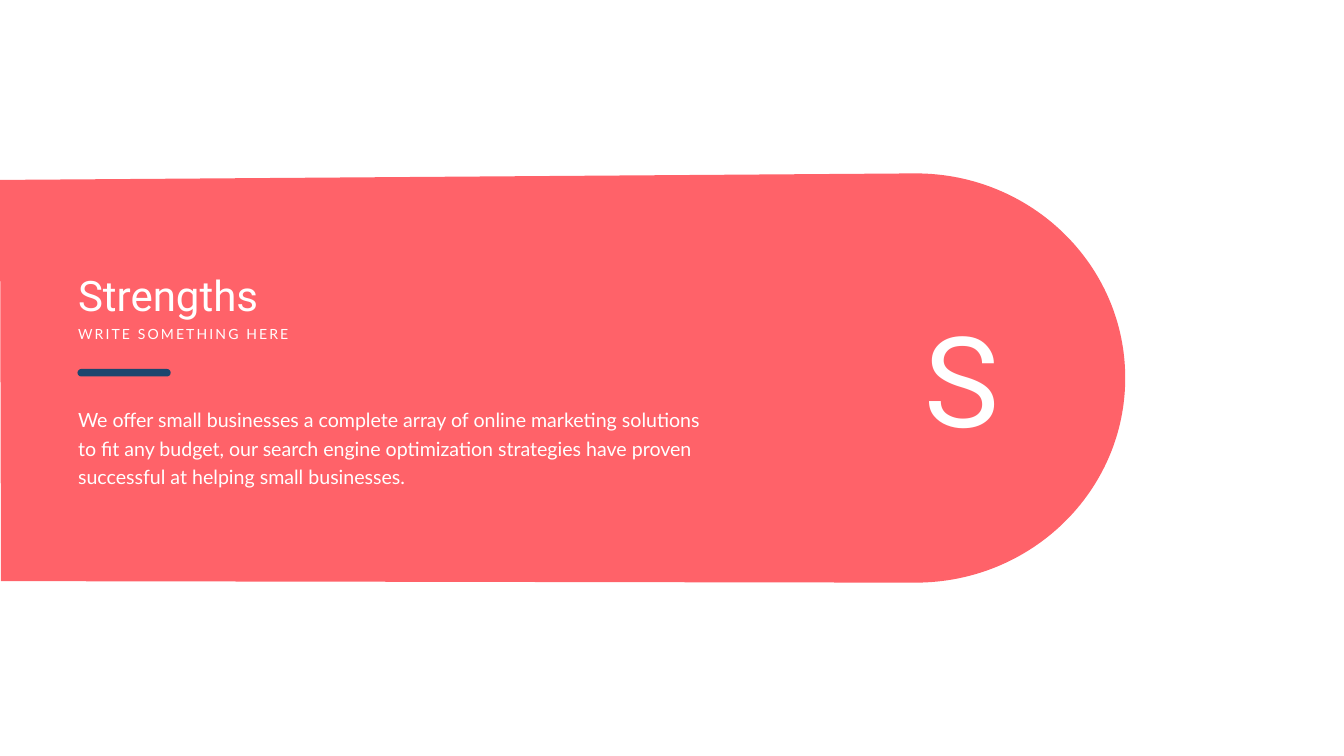
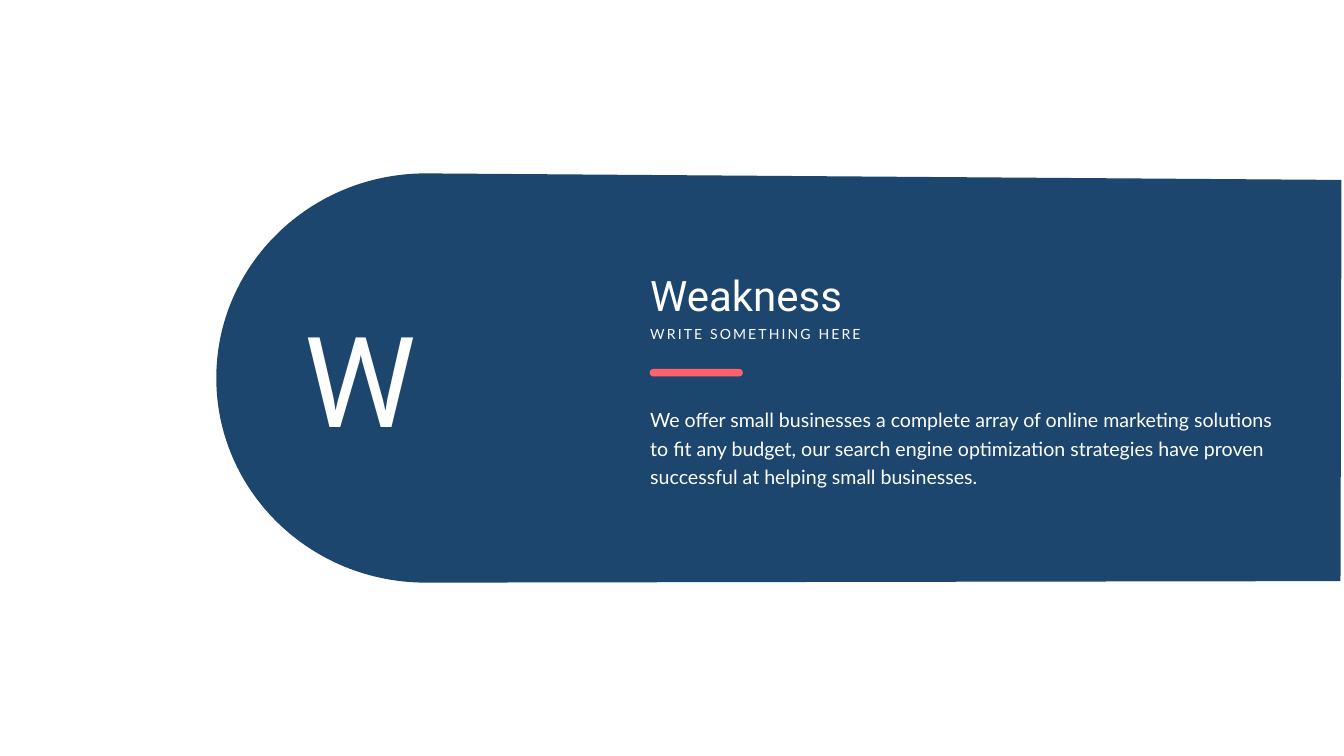
from pptx import Presentation
from pptx.dml.color import RGBColor
from pptx.enum.shapes import MSO_SHAPE
from pptx.enum.text import MSO_AUTO_SIZE, PP_ALIGN
from pptx.oxml.ns import qn
from pptx.util import Pt
from lxml.etree import SubElement

WIDTH, HEIGHT = 1919.52, 1080
CORAL, NAVY, WHITE = "FF6269", "1C466E", "FFFFFF"
HEADING_FONT, BODY_FONT = "Roboto", "Lato"
BAND_TOP, BAND_WIDTH, BAND_HEIGHT = 247.68, 1607.04, 584.64
TAGLINE = "WRITE SOMETHING HERE"
PITCH = (
    "We offer small businesses a complete array of online marketing solutions "
    "to fit any budget, our search engine optimization strategies have proven "
    "successful at helping small businesses."
)
TOPICS = [
    dict(heading="Strengths", initial="S", color=CORAL, accent=NAVY, band_left=0,
         mirrored=False, copy_left=104.4, initial_left=1300.32, initial_width=148.32),
    dict(heading="Weakness", initial="W", color=NAVY, accent=CORAL, band_left=308.88,
         mirrored=True, copy_left=612.72, initial_left=80.64, initial_width=250.56),
]


def paint(fill, color):
    """Make a fill solid in the given hex colour."""
    fill.solid()
    fill.fore_color.rgb = RGBColor.from_string(color)


def finish(shape, color):
    """Give a shape a flat fill with neither outline nor shadow."""
    paint(shape.fill, color)
    shape.line.fill.background()
    shape.shadow.inherit = False


def add_text(shapes, text, left, top, width, height, *, size, font,
             align=PP_ALIGN.LEFT, leading=None, tracking=None):
    """Add one white paragraph in a wrapping text box."""
    box = shapes.add_textbox(Pt(left), Pt(top), Pt(width), Pt(height))
    frame = box.text_frame
    frame.word_wrap = True
    frame.auto_size = MSO_AUTO_SIZE.SHAPE_TO_FIT_TEXT
    paragraph = frame.paragraphs[0]
    paragraph.alignment = align
    if leading:
        paragraph.line_spacing = Pt(leading)
    run = paragraph.add_run()
    run.text = text
    run.font.size = Pt(size)
    run.font.name = font
    run.font.color.rgb = RGBColor.from_string(WHITE)
    if tracking:
        run.font._element.set("spc", str(tracking * 100))


def round_corners(band, first, count):
    """Turn runs of three line points, from index first, into Bézier curves."""
    lines = list(band._element.iter(qn("a:lnTo")))
    for start in range(first, first + 3 * count, 3):
        curve = SubElement(lines[start].getparent(), qn("a:cubicBezTo"))
        lines[start].addprevious(curve)
        for line in lines[start:start + 3]:
            curve.append(line[0])
            line.getparent().remove(line)


def add_band(shapes, left, top, width, height, color, mirrored):
    """Draw the tapered band with one round end, optionally facing left."""
    shoulder, handle = width - 299.52, width - 133.92
    outline = [
        (0, 9.36), (shoulder, 0),
        (handle, 0), (width, 131.04), (width, height / 2),
        (width, height - 131.04), (handle, height), (shoulder, height),
        (1.44, height - 2.16),
    ]
    points = [(Pt(left + (width - x if mirrored else x)), Pt(top + y)) for x, y in outline]
    builder = shapes.build_freeform(*points[0])
    builder.add_line_segments(points[1:], close=True)
    band = builder.convert_to_shape()
    finish(band, color)
    round_corners(band, first=1, count=2)


def add_copy(shapes, left, top, heading, accent):
    """Group the heading, tagline, accent bar and body text."""
    group = shapes.add_group_shape().shapes
    add_text(group, heading, left, top, 702.72, 79.92, size=60, font=HEADING_FONT)
    add_text(group, TAGLINE, left, top + 79.92, 421.2, 31.68, size=20, font=BODY_FONT, tracking=3)
    add_text(group, PITCH, left, top + 191.52, 915.12, 127.44,
             size=28, font=BODY_FONT, leading=40.8)
    bar = group.add_shape(MSO_SHAPE.ROUNDED_RECTANGLE, Pt(left + 6.2), Pt(top + 146.16),
                          Pt(133.2), Pt(10.8))
    bar.adjustments[0] = 0.5
    finish(bar, accent)


def add_topic_slide(deck, heading, initial, color, accent, band_left, mirrored,
                    copy_left, initial_left, initial_width):
    """Add one slide with a band, its copy and its large initial."""
    slide = deck.slides.add_slide(deck.slide_layouts[6])
    paint(slide.background.fill, WHITE)
    add_band(slide.shapes, band_left, BAND_TOP, BAND_WIDTH, BAND_HEIGHT, color, mirrored)
    add_copy(slide.shapes, band_left + copy_left, BAND_TOP + 133.2, heading, accent)
    add_text(slide.shapes, initial, band_left + initial_left, BAND_TOP + 179.28,
             initial_width, 225.36, size=180, font=HEADING_FONT, align=PP_ALIGN.CENTER)


def main():
    """Build and save the deck."""
    deck = Presentation()
    deck.slide_width, deck.slide_height = Pt(WIDTH), Pt(HEIGHT)
    for topic in TOPICS:
        add_topic_slide(deck, **topic)
    deck.save("out.pptx")


if __name__ == "__main__":
    main()
